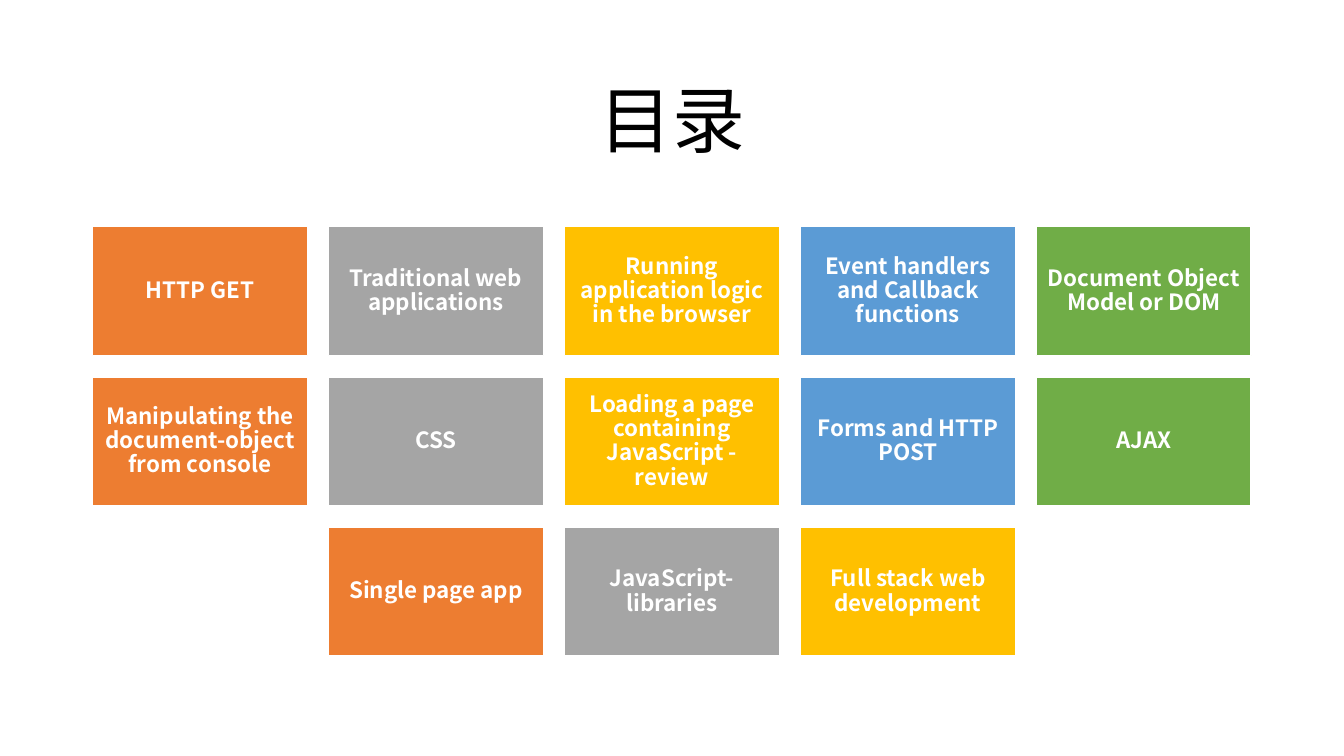
from lxml.etree import SubElement
from pptx import Presentation
from pptx.dml.color import RGBColor
from pptx.enum.shapes import MSO_SHAPE as Shape
from pptx.enum.text import MSO_ANCHOR as Anchor, PP_ALIGN as Align
from pptx.oxml.ns import qn
from pptx.util import Inches, Pt

HEADING = "目录"
TOPIC_ROWS = [
    ["HTTP GET", "Traditional web applications",
     "Running application logic in the browser",
     "Event handlers and Callback functions", "Document Object Model or DOM"],
    ["Manipulating the document-object from console", "CSS",
     "Loading a page containing JavaScript - review",
     "Forms and HTTP POST", "AJAX"],
    ["Single page app", "JavaScript-libraries", "Full stack web development"],
]
TILE_COLORS = ["ED7D31", "A5A5A5", "FFC000", "5B9BD5", "70AD47"]
FONT = "Noto Sans CJK SC"
WHITE, BLACK = "FFFFFF", "000000"

SLIDE_W, SLIDE_H = 13.33, 7.5
LEFT, TOP = 0.92, 2.25
TILE_W, TILE_H = 2.13, 1.28
GAP = 0.21
COLUMNS = len(TILE_COLORS)


def rgb(value):
    return RGBColor.from_string(value)


def write(frame, words, size, color, bold=False, inset=None):
    frame.word_wrap = True
    frame.vertical_anchor = Anchor.MIDDLE
    if inset is not None:
        frame.margin_left = frame.margin_right = Inches(inset)
        frame.margin_top = frame.margin_bottom = Inches(inset)
    paragraph = frame.paragraphs[0]
    paragraph.alignment = Align.CENTER
    paragraph.line_spacing = 0.9
    run = paragraph.add_run()
    run.text = words
    run.font.size = Pt(size)
    run.font.bold = bold
    run.font.name = FONT
    run.font.color.rgb = rgb(color)
    SubElement(run.font._element, qn("a:ea"), typeface=FONT)


def add_tile(slide, topic, column, row, color):
    tile = slide.shapes.add_shape(
        Shape.RECTANGLE,
        Inches(LEFT + column * (TILE_W + GAP)),
        Inches(TOP + row * (TILE_H + GAP)),
        Inches(TILE_W), Inches(TILE_H))
    tile.shadow.inherit = False
    tile.fill.solid()
    tile.fill.fore_color.rgb = rgb(color)
    tile.line.color.rgb = rgb(WHITE)
    tile.line.width = Pt(1)
    write(tile.text_frame, topic, 16, WHITE, bold=True, inset=0.07)


def main():
    deck = Presentation()
    deck.slide_width, deck.slide_height = Inches(SLIDE_W), Inches(SLIDE_H)
    slide = deck.slides.add_slide(deck.slide_layouts[6])

    heading = slide.shapes.add_textbox(
        Inches(LEFT), Inches(0.61), Inches(11.5), Inches(1.24))
    write(heading.text_frame, HEADING, 52, BLACK)

    for row, topics in enumerate(TOPIC_ROWS):
        first_column = (COLUMNS - len(topics)) / 2
        for index, (topic, color) in enumerate(zip(topics, TILE_COLORS)):
            add_tile(slide, topic, first_column + index, row, color)

    deck.save("out.pptx")


if __name__ == "__main__":
    main()
